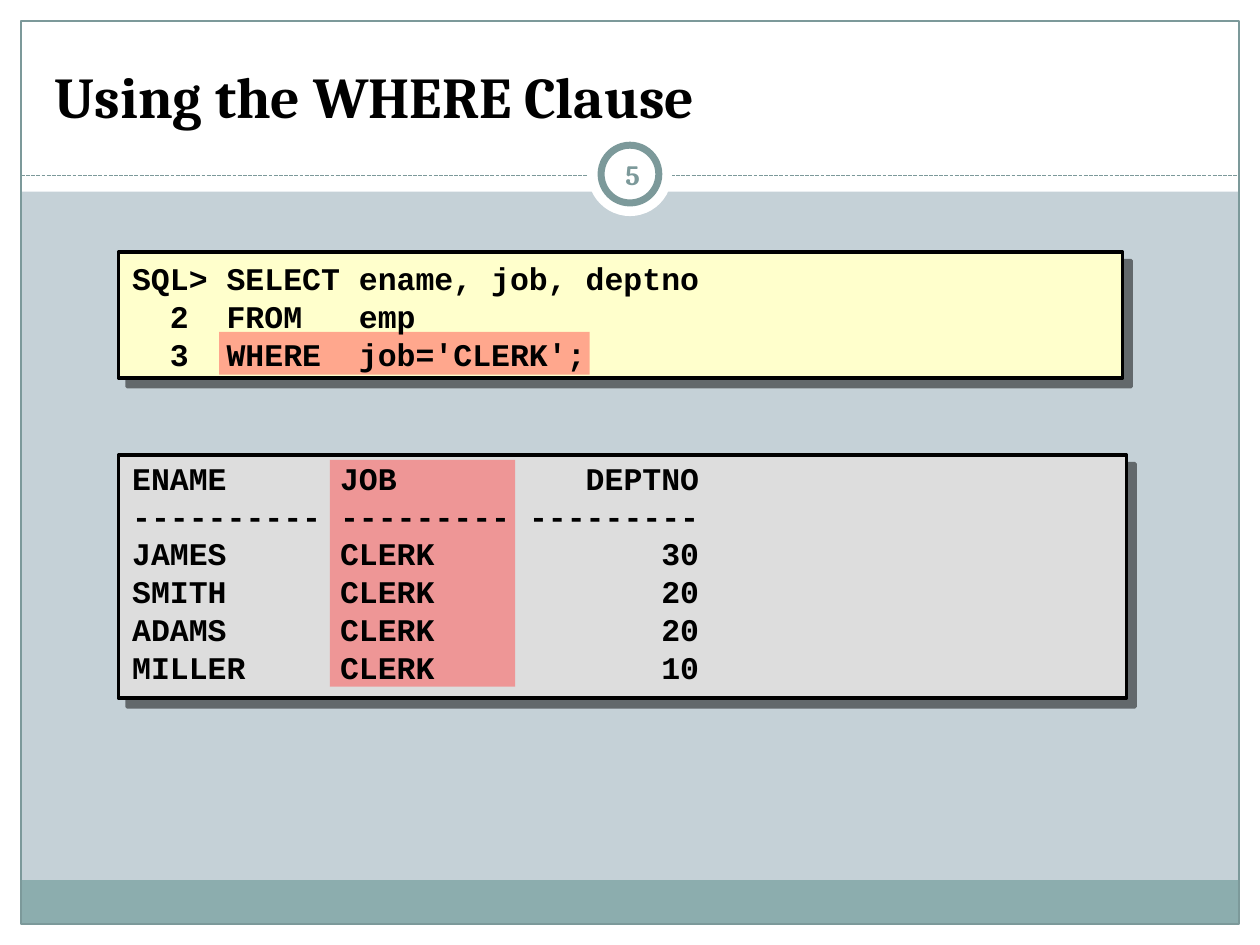
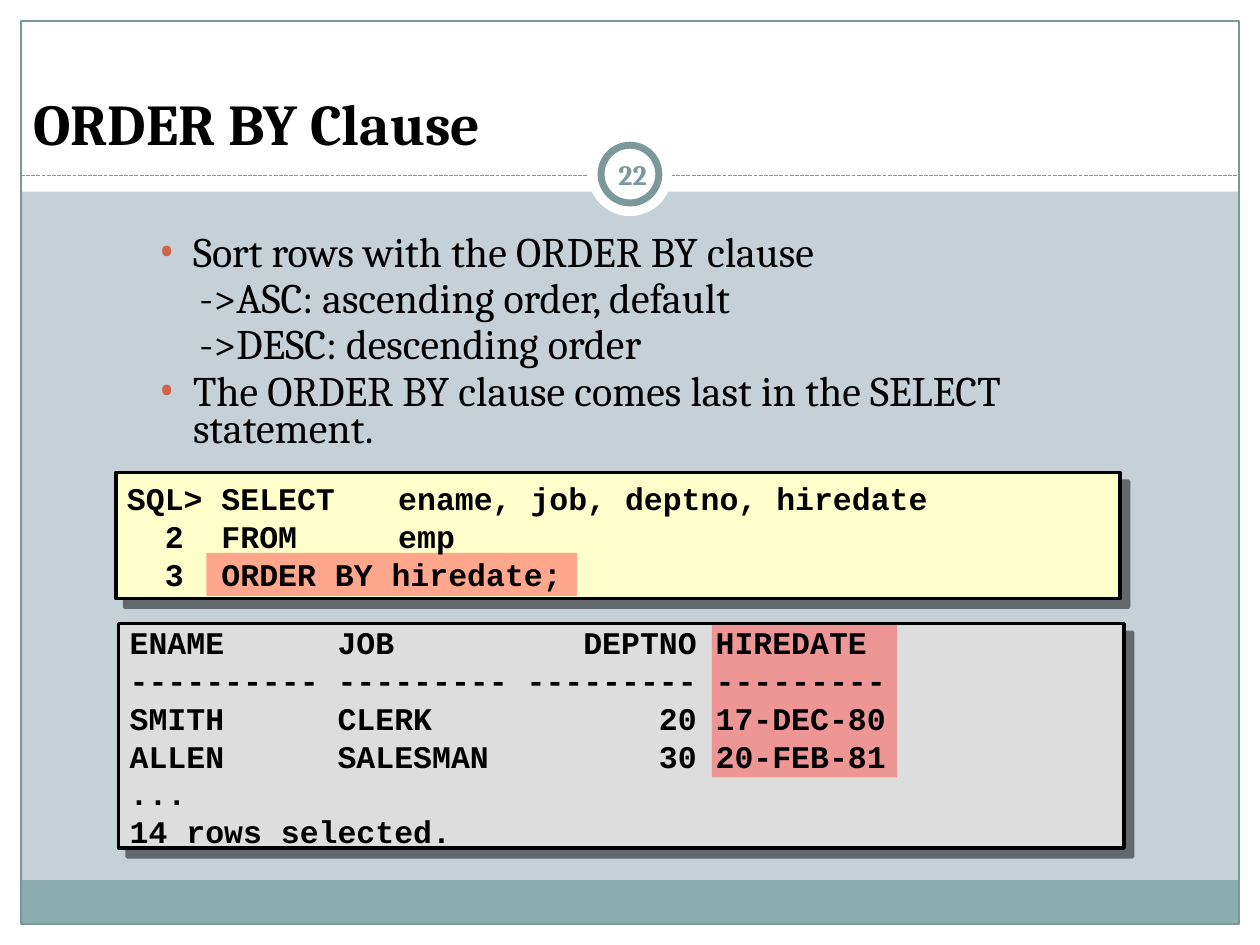
import pptx
import pptx.util
import pptx.dml.color
import pptx.enum.dml
import pptx.enum.shapes
import pptx.enum.text
import pptx.oxml
import pptx.oxml.ns
import lxml.etree

Pt = pptx.util.Pt
SHAPE = pptx.enum.shapes.MSO_SHAPE
ANCHOR = pptx.enum.text.MSO_ANCHOR
ALIGN = pptx.enum.text.PP_ALIGN

SERIF, MONO = "Cambria", "Courier New"
BLACK, WHITE, PALE, TEAL, SLATE = "000000", "FFFFFF", "C5D1D7", "8CADAE", "7C999A"
QUERY_FILL, RESULT_FILL, MARK, BULLET = "FFFFCC", "DDDDDD", "FF5050", "D16349"
W, H, EDGE, RULE_Y = 720, 540, 12, 100.5
TAB_STOP = 155

SLIDES = [
    {
        "title": "Using the WHERE Clause", "title_box": (24, 18, 672, 60), "number": "5",
        "bullets": [],
        "panels": [
            {"fill": QUERY_FILL, "box": (67.7, 144, 573.8, 72), "mark": (125.3, 189.6, 211.7, 24.5),
             "text": (68.4, 143.3, 576, 74.2),
             "lines": ["SQL> SELECT ename, job, deptno", "  2  FROM   emp", "  3  WHERE  job='CLERK';"]},
            {"fill": RESULT_FILL, "box": (67.7, 260, 576, 139), "mark": (188.6, 262.8, 105.8, 129.6),
             "text": (68.4, 258.5, 578, 137),
             "lines": ["ENAME      JOB          DEPTNO",
                       "---------- --------- ---------",
                       "JAMES      CLERK            30",
                       "SMITH      CLERK            20",
                       "ADAMS      CLERK            20",
                       "MILLER     CLERK            10"]},
        ],
    },
    {
        "title": "ORDER BY Clause", "title_box": (12, 24, 574.6, 69.5), "number": "22",
        "bullets": [(1, "Sort rows with the ORDER BY clause"),
                    (2, "->ASC: ascending order, default"),
                    (2, "->DESC: descending order"),
                    (1, "The ORDER BY clause comes last in the SELECT statement.")],
        "panels": [
            {"fill": QUERY_FILL, "box": (66.2, 270, 573.8, 72), "mark": (118, 316, 211.7, 24.5),
             "text": (65.5, 269.3, 576, 74.2),
             "lines": ["SQL> SELECT\tename, job, deptno, hiredate", "  2  FROM\temp", "  3  ORDER BY hiredate;"]},
            {"fill": RESULT_FILL, "box": (67.7, 356.4, 574.6, 128.2), "mark": (406.8, 357.1, 105.8, 87.1),
             "text": (67, 355.7, 576.7, 130.3),
             "lines": ["ENAME      JOB          DEPTNO HIREDATE",
                       "---------- --------- --------- ---------",
                       "SMITH      CLERK            20 17-DEC-80",
                       "ALLEN      SALESMAN         30 20-FEB-81",
                       "...",
                       "14 rows selected."]},
        ],
    },
]
BULLET_BOX = (60, 132, 581.8, 168)
LEVELS = {1: (43.2, -21.6), 2: (64.8, -18)}


def rgb(value):
    """Turn a hex string into a colour."""
    return pptx.dml.color.RGBColor.from_string(value)


def child(parent, tag, **attrs):
    """Append a DrawingML element and return it."""
    return lxml.etree.SubElement(parent, pptx.oxml.ns.qn("a:" + tag), attrs)


def add_shape(s, box, fill=None, line=None, width=0.75, kind=SHAPE.RECTANGLE):
    """Add a flat preset shape."""
    sp = s.shapes.add_shape(kind, *map(Pt, box))
    sp.shadow.inherit = False
    if fill:
        sp.fill.solid()
        sp.fill.fore_color.rgb = rgb(fill)
    else:
        sp.fill.background()
    if line:
        sp.line.color.rgb = rgb(line)
        sp.line.width = Pt(width)
    else:
        sp.line.fill.background()
    return sp


def set_font(p, name, size, color=BLACK, bold=False):
    """Format every run of a paragraph."""
    for r in p.runs:
        r.font.name, r.font.size, r.font.bold = name, Pt(size), bold
        r.font.color.rgb = rgb(color)


def add_text(s, box, lines, anchor=ANCHOR.TOP):
    """Add a text box with one paragraph per line and return its frame."""
    tf = s.shapes.add_textbox(*map(Pt, box)).text_frame
    tf.word_wrap, tf.vertical_anchor = True, anchor
    for i, line in enumerate(lines):
        p = tf.paragraphs[0] if i == 0 else tf.add_paragraph()
        p.text = line
    return tf


def add_frame(s):
    """Draw the background, bands, border, rule and number ring."""
    s.background.fill.solid()
    s.background.fill.fore_color.rgb = rgb(PALE)
    for box in [(0, H - EDGE, W, EDGE), (0, 0, W, 109.5), (0, 0, EDGE, H), (W - EDGE, 0, EDGE, H)]:
        add_shape(s, box, WHITE)
    add_shape(s, (EDGE, 503, W - 2 * EDGE, 25), TEAL)
    add_shape(s, (EDGE, EDGE, W - 2 * EDGE, H - 2 * EDGE), line=SLATE)
    rule = s.shapes.add_connector(pptx.enum.shapes.MSO_CONNECTOR.STRAIGHT,
                                  Pt(EDGE), Pt(RULE_Y), Pt(W - EDGE), Pt(RULE_Y))
    rule.line.color.rgb = rgb(SLATE)
    rule.line.width = Pt(0.75)
    rule.line.dash_style = pptx.enum.dml.MSO_LINE.SQUARE_DOT
    child(rule.element.spPr, "effectLst")
    for size, line in [(48, None), (33, SLATE)]:
        add_shape(s, ((W - size) / 2, 99.5 - size / 2, size, size), WHITE, line, 4, SHAPE.OVAL)


def add_title(s, text, box):
    """Place the title above the bands."""
    sp = s.shapes.title
    sp.element.getparent().append(sp.element)
    sp.left, sp.top, sp.width, sp.height = map(Pt, box)
    tf = sp.text_frame
    tf.text = text
    tf.vertical_anchor = ANCHOR.BOTTOM
    tf.auto_size = pptx.enum.text.MSO_AUTO_SIZE.NONE
    tf.paragraphs[0].alignment = ALIGN.LEFT
    set_font(tf.paragraphs[0], SERIF, 33, bold=True)


def add_bullets(s, items):
    """Add the two-level list."""
    tf = add_text(s, BULLET_BOX, [text for _, text in items])
    for i, (p, (level, _)) in enumerate(zip(tf.paragraphs, items)):
        p.line_spacing = 0.75
        if i:
            p.space_before = Pt(4.8)
        margin, indent = LEVELS[level]
        pPr = p._p.get_or_add_pPr()
        pPr.set("marL", str(Pt(margin)))
        pPr.set("indent", str(Pt(indent)))
        if level == 1:
            child(child(pPr, "buClr"), "srgbClr", val=BULLET)
            child(pPr, "buSzPct", val="125000")
            child(pPr, "buFont", typeface=SERIF)
            child(pPr, "buChar", char="•")
        set_font(p, SERIF, 24)


def add_panel(s, panel):
    """Add a shadowed code panel with a translucent highlight under its text."""
    sp = add_shape(s, panel["box"], panel["fill"], BLACK, 2)
    effects = sp.element.spPr.find(pptx.oxml.ns.qn("a:effectLst"))
    shadow = child(effects, "outerShdw", dist=str(Pt(7.1)), dir="2700000", algn="ctr", rotWithShape="0")
    child(child(shadow, "srgbClr", val=BLACK), "alpha", val="50000")
    mark = add_shape(s, panel["mark"], MARK)
    child(mark.element.spPr.find(".//" + pptx.oxml.ns.qn("a:srgbClr")), "alpha", val="50000")
    tf = add_text(s, panel["text"], panel["lines"], ANCHOR.MIDDLE)
    for p in tf.paragraphs:
        if "\t" in p.text:
            child(child(p._p.get_or_add_pPr(), "tabLst"), "tab", pos=str(Pt(TAB_STOP)), algn="l")
        set_font(p, MONO, 18, bold=True)


def add_number(s, number):
    """Write the slide number in its ring."""
    tf = add_text(s, (343.5, 82.5, 36, 34.5), [number], ANCHOR.MIDDLE)
    tf.margin_left = tf.margin_right = Pt(3.6)
    tf.paragraphs[0].alignment = ALIGN.CENTER
    set_font(tf.paragraphs[0], SERIF, 16, SLATE, True)


def main():
    """Build the deck."""
    prs = pptx.Presentation()
    prs.slide_width, prs.slide_height = Pt(W), Pt(H)
    for content in SLIDES:
        s = prs.slides.add_slide(prs.slide_layouts[5])
        add_frame(s)
        add_title(s, content["title"], content["title_box"])
        if content["bullets"]:
            add_bullets(s, content["bullets"])
        for panel in content["panels"]:
            add_panel(s, panel)
        add_number(s, content["number"])
    prs.save("out.pptx")


if __name__ == "__main__":
    main()
